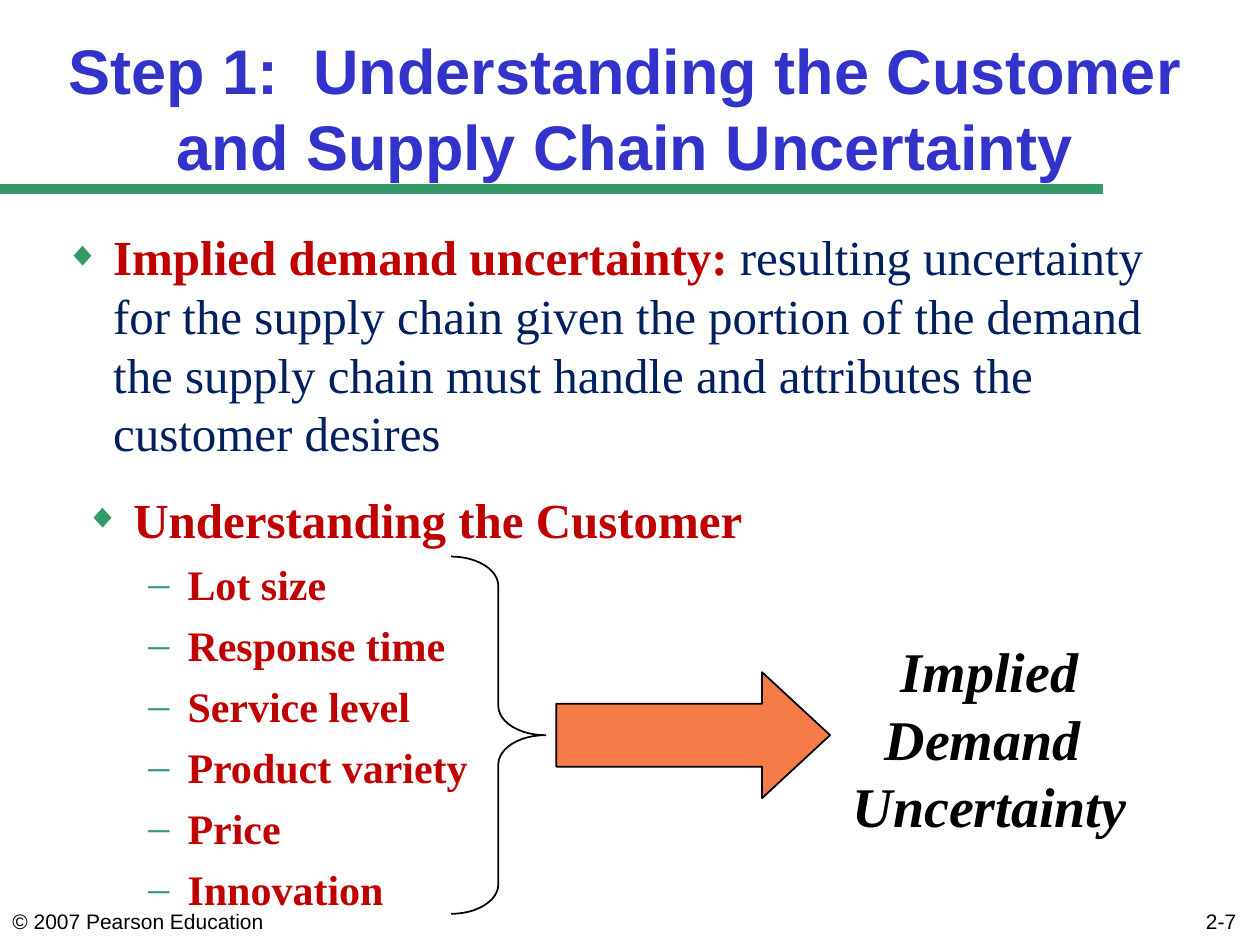
from dataclasses import dataclass

from lxml import etree
from pptx import Presentation
from pptx.dml import color
from pptx.enum import shapes, text
from pptx.oxml import ns
from pptx.util import Inches, Pt

W, H = 10, 7.5
FACTORS = ["Lot size", "Response time", "Service level",
           "Product variety", "Price", "Innovation"]


@dataclass(frozen=True)
class Theme:
    """Fonts, colours and type sizes."""
    sans: str = "Arial"
    serif: str = "Times New Roman"
    title: str = "3333CC"
    accent: str = "339966"
    key: str = "C00000"
    body: str = "002060"
    ink: str = "000000"
    arrow: str = "F57B49"
    title_pt: int = 36
    result_pt: int = 32
    body_pt: int = 28
    item_pt: int = 24
    small_pt: int = 12


T = Theme()


def rgb(value):
    """Return a colour from its hex code."""
    return color.RGBColor.from_string(value)


def inches(*box):
    """Convert a box to lengths."""
    return [Inches(v) for v in box]


def add_box(s, box, wrap=True, anchor=text.MSO_ANCHOR.TOP):
    """Add an empty text box and return its frame."""
    tf = s.shapes.add_textbox(*inches(*box)).text_frame
    tf.word_wrap, tf.vertical_anchor = wrap, anchor
    return tf


def add_run(p, words, size, name, ink, bold=False, italic=False):
    """Add one styled run to a paragraph."""
    r = p.add_run()
    r.text = words
    f = r.font
    f.size, f.name, f.bold, f.italic = Pt(size), name, bold, italic
    f.color.rgb = rgb(ink)


def add_bullet(p, char, margin, hang, percent=100):
    """Give a paragraph a coloured bullet and a hanging indent."""
    pr = p._p.get_or_add_pPr()
    pr.set("marL", str(Inches(margin)))
    pr.set("indent", str(Inches(-hang)))
    clr = etree.SubElement(pr, ns.qn("a:buClr"))
    etree.SubElement(clr, ns.qn("a:srgbClr"), val=T.accent)
    etree.SubElement(pr, ns.qn("a:buSzPct"), val=str(percent * 1000))
    etree.SubElement(pr, ns.qn("a:buFont"), typeface=T.serif)
    etree.SubElement(pr, ns.qn("a:buChar"), char=char)


def outline(sp):
    """Give a shape a thin dark line and no shadow."""
    sp.shadow.inherit = False
    sp.line.color.rgb, sp.line.width = rgb(T.ink), Pt(1)


def title_region(s, x, y, w, h):
    """Place the title on the rule below it."""
    rule = s.shapes.add_connector(shapes.MSO_CONNECTOR.STRAIGHT,
                                  *inches(0, y + h, W * 0.875, y + h))
    rule.line.color.rgb, rule.line.width = rgb(T.accent), Pt(6)
    etree.SubElement(rule._element.spPr, ns.qn("a:effectLst"))
    p = add_box(s, (x, y, w, h), anchor=text.MSO_ANCHOR.BOTTOM).paragraphs[0]
    p.alignment = text.PP_ALIGN.CENTER
    add_run(p, "Step 1:  Understanding the Customer and Supply Chain Uncertainty",
            T.title_pt, T.sans, T.title, bold=True)


def definition_region(s, *box):
    """Place the definition of the key term."""
    p = add_box(s, box).paragraphs[0]
    add_bullet(p, "◆", 0.38, 0.38, 70)
    add_run(p, "Implied demand uncertainty: ", T.body_pt, T.serif, T.key, bold=True)
    add_run(p, "resulting uncertainty for the supply chain given the portion of "
               "the demand the supply chain must handle and attributes the "
               "customer desires", T.body_pt, T.serif, T.body)


def factors_region(s, *box):
    """Place the heading and its list of customer factors."""
    tf = add_box(s, box)
    p = tf.paragraphs[0]
    add_bullet(p, "◆", 0.38, 0.38, 70)
    add_run(p, "Understanding the Customer", T.body_pt, T.serif, T.key, bold=True)
    for factor in FACTORS:
        p = tf.add_paragraph()
        p.level, p.space_before = 1, Pt(6)
        add_bullet(p, "–", 0.81, 0.31)
        add_run(p, factor, T.item_pt, T.serif, T.key, bold=True)


def result_region(s, x, y, w, h):
    """Place the brace, the arrow and the result, left to right."""
    mid = y + h / 2
    arrow = s.shapes.add_shape(shapes.MSO_SHAPE.RIGHT_ARROW,
                               *inches(x + w * 0.153, mid - 0.5, w * 0.398, 1))
    arrow.adjustments[1] = 0.54
    arrow.fill.solid()
    arrow.fill.fore_color.rgb = rgb(T.arrow)
    brace = s.shapes.add_shape(shapes.MSO_SHAPE.RIGHT_BRACE,
                               *inches(x, y, w * 0.1374, h))
    brace.adjustments[0] = 0.31
    brace.fill.background()
    outline(arrow)
    outline(brace)
    tf = add_box(s, (x + w * 0.553, mid - 0.83, w * 0.46, 1.7), wrap=False)
    tf.auto_size = text.MSO_AUTO_SIZE.SHAPE_TO_FIT_TEXT
    for i, word in enumerate(["Implied", "Demand ", "Uncertainty"]):
        p = tf.add_paragraph() if i else tf.paragraphs[0]
        p.alignment = text.PP_ALIGN.CENTER
        add_run(p, word, T.result_pt, T.serif, T.ink, bold=True, italic=True)


def footer_region(s, x, y, w, h):
    """Place the copyright line and the page number."""
    for words, left, width, align in (
            ("© 2007 Pearson Education", x, w * 0.32, text.PP_ALIGN.LEFT),
            ("2-7", x + w * 0.79, w * 0.21, text.PP_ALIGN.RIGHT)):
        p = add_box(s, (left, y, width, h)).paragraphs[0]
        p.alignment = align
        add_run(p, words, T.small_pt, T.sans, T.ink)


def main():
    """Build the slide and save it."""
    prs = Presentation()
    prs.slide_width, prs.slide_height = inches(W, H)
    s = prs.slides.add_slide(prs.slide_layouts[6])
    footer_region(s, 0, H * 0.955, W * 0.991, H * 0.04)
    title_region(s, W * 0.025, H * 0.039, W * 0.942, H * 0.161)
    definition_region(s, W * 0.042, H * 0.233, W * 0.908, H * 0.27)
    factors_region(s, W * 0.058, H * 0.511, W * 0.908, H * 0.367)
    result_region(s, W * 0.358, H * 0.589, W * 0.546, H * 0.378)
    prs.save("out.pptx")


if __name__ == "__main__":
    main()
